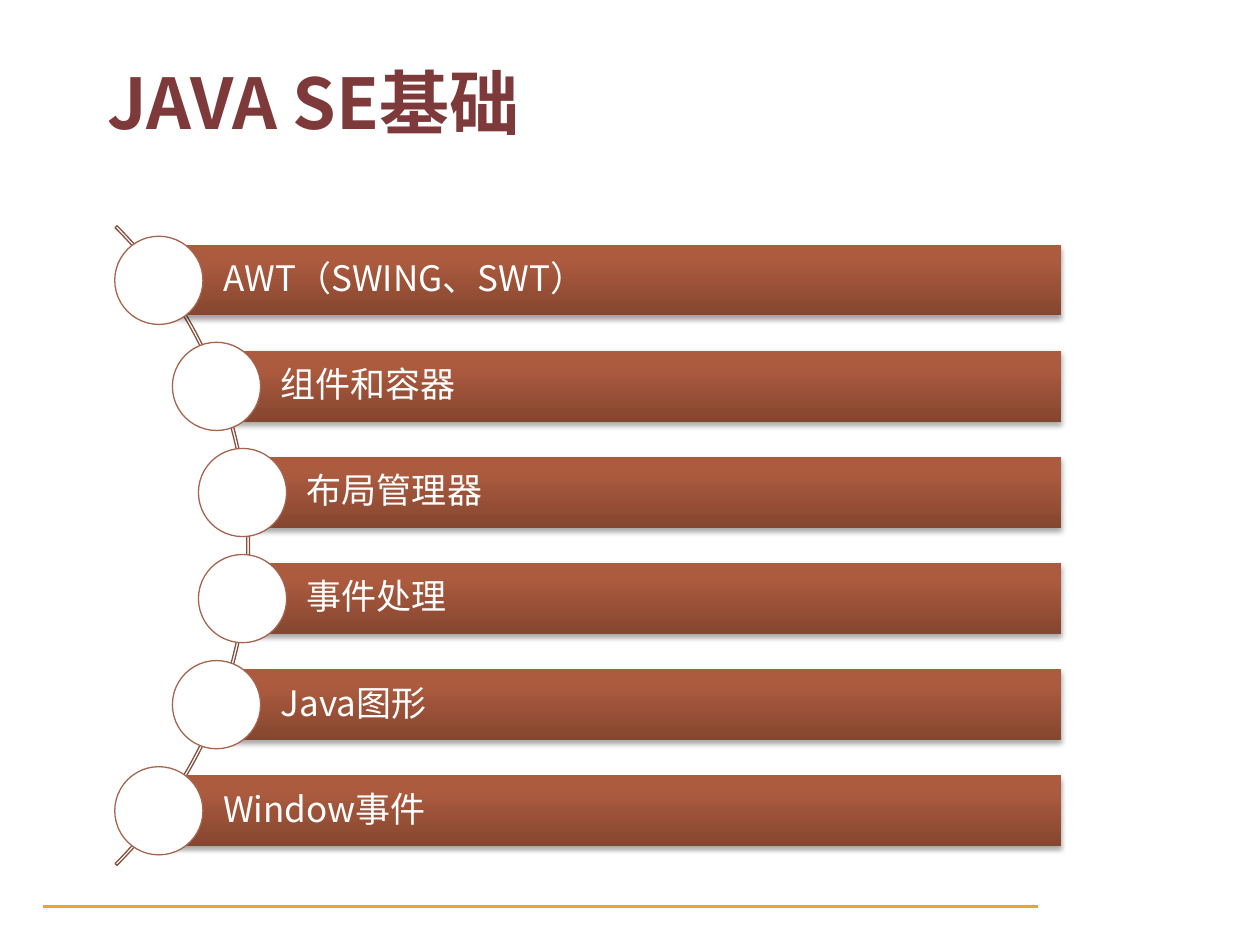
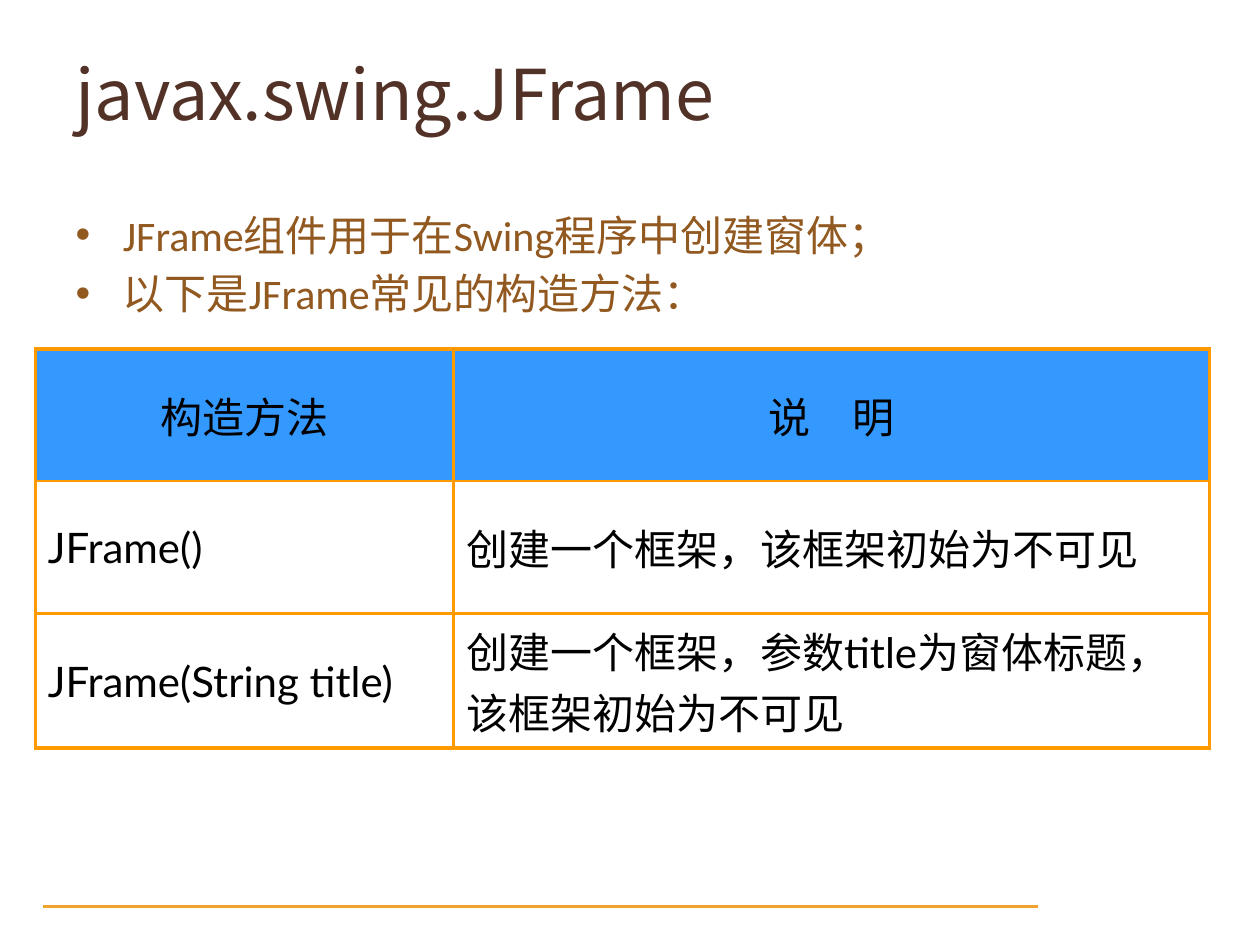
"""Build two slides on Java window programming: a topic list and a constructor table."""
import math
from lxml import etree
from pptx import Presentation
from pptx import util as u
from pptx.dml import color
from pptx.enum import shapes, text
from pptx.oxml import ns

CJK, BODY, TABLE = "Noto Sans CJK SC", "Calibri", "Lato"
COLUMNS, ROWS = 100, 75
WHITE, BLACK, GOLD, RUST = "FFFFFF", "000000", "F0A22E", "A5644E"
ARC_LINE, ORANGE, BLUE = "84503E", "FF9900", "3399FF"
BAR_STOPS = [(0, "854630"), (80, "AD5B3F"), (100, "AF5A3D")]

TOPICS = ["AWT（SWING、SWT）", "组件和容器", "布局管理器", "事件处理", "Java图形", "Window事件"]
BULLETS = ["JFrame组件用于在Swing程序中创建窗体；", "以下是JFrame常见的构造方法："]
CONSTRUCTORS = [
    ["构造方法", "说　明"],
    ["JFrame()", "创建一个框架，该框架初始为不可见"],
    ["JFrame(String title)", "创建一个框架，参数title为窗体标题，该框架初始为不可见"],
]


def rgb(value):
    return color.RGBColor.from_string(value)


def add_node(parent, tag, **attributes):
    return etree.SubElement(parent, ns.qn(tag), attributes)


def add_colour(parent, value, alpha=None):
    node = add_node(parent, "a:srgbClr", val=value)
    if alpha is not None:
        add_node(node, "a:alpha", val=str(alpha * 1000))


class SlideBuilder:
    def __init__(self):
        self.deck = Presentation()
        self.deck.slide_width, self.deck.slide_height = u.Inches(10), u.Inches(7.5)
        self.page = None

    def x(self, columns):
        return round(self.deck.slide_width * columns / COLUMNS)

    def y(self, rows):
        return round(self.deck.slide_height * rows / ROWS)

    def area(self, left, top, width, height):
        return self.x(left), self.y(top), self.x(width), self.y(height)

    def new_page(self, layout):
        self.page = self.deck.slides.add_slide(self.deck.slide_layouts[layout])
        self.shape(shapes.MSO_SHAPE.RECTANGLE, (3.3, 71.7, 79.2, 0.5), GOLD, WHITE, 2)

    def shape(self, kind, area, fill=None, line=None, weight=0.75):
        box = self.page.shapes.add_shape(kind, *self.area(*area))
        box.shadow.inherit = False
        if fill:
            box.fill.solid()
            box.fill.fore_color.rgb = rgb(fill)
        else:
            box.fill.background()
        if line:
            box.line.color.rgb = rgb(line)
            box.line.width = u.Pt(weight)
        else:
            box.line.fill.background()
        return box

    def add_text(self, para, content, font, size, ink, bold=False):
        span = para.add_run()
        span.text = content
        span.font.name, span.font.size, span.font.bold = font, u.Pt(size), bold
        span.font.color.rgb = rgb(ink)
        latin = span.font._element.find(ns.qn("a:latin"))
        latin.addnext(etree.Element(ns.qn("a:ea"), typeface=CJK))

    def placeholder(self, box, area, anchor):
        box.left, box.top, box.width, box.height = self.area(*area)
        frame = box.text_frame
        frame.word_wrap = True
        frame.auto_size = text.MSO_AUTO_SIZE.NONE
        frame.vertical_anchor = anchor
        return frame

    def title(self, content, area, ink, bold=False, anchor=text.MSO_ANCHOR.MIDDLE):
        para = self.placeholder(self.page.shapes.title, area, anchor).paragraphs[0]
        para.alignment = text.PP_ALIGN.LEFT
        self.add_text(para, content, CJK, 40, ink, bold)

    def bullets(self, items, area, ink):
        frame = self.placeholder(self.page.placeholders[1], area, text.MSO_ANCHOR.TOP)
        for index, item in enumerate(items):
            para = frame.add_paragraph() if index else frame.paragraphs[0]
            self.add_text(para, item, BODY, 24, ink)

    def bar(self, content, area):
        box = self.shape(shapes.MSO_SHAPE.RECTANGLE, area)
        box.fill.gradient()
        box.fill.gradient_angle = 90
        properties = box._element.spPr
        stops = properties.find(".//" + ns.qn("a:gsLst"))
        for stop in list(stops):
            stops.remove(stop)
        for share, value in BAR_STOPS:
            add_colour(add_node(stops, "a:gs", pos=str(share * 1000)), value)
        shadow = add_node(properties.find(ns.qn("a:effectLst")), "a:outerShdw",
                          blurRad=str(u.Pt(3.1)), dist=str(u.Pt(1.8)),
                          dir="5400000", rotWithShape="0")
        add_colour(shadow, BLACK, 35)
        frame = box.text_frame
        frame.word_wrap = True
        frame.vertical_anchor = text.MSO_ANCHOR.MIDDLE
        frame.margin_left = self.x(5.1)
        frame.margin_top = frame.margin_bottom = frame.margin_right = self.x(0.6)
        para = frame.paragraphs[0]
        para.alignment = text.PP_ALIGN.LEFT
        para.line_spacing = 0.9
        self.add_text(para, content, CJK, 20, WHITE)

    def border(self, cell, side, weight):
        line = add_node(cell._tc.get_or_add_tcPr(), "a:ln" + side, w=str(u.Pt(weight)))
        add_colour(add_node(line, "a:solidFill"), ORANGE)

    def table(self, rows, left, top, widths, height):
        area = self.area(left, top, sum(widths), height * len(rows))
        table = self.page.shapes.add_table(len(rows), len(widths), *area).table
        table.first_row = table.horz_banding = False
        for column, width in zip(table.columns, widths):
            column.width = self.x(width)
        last_row, last_column = len(rows) - 1, len(widths) - 1
        for r, row in enumerate(rows):
            for c, content in enumerate(row):
                cell = table.cell(r, c)
                outer = {"L": c == 0, "R": c == last_column, "T": r == 0, "B": r == last_row}
                for side, is_outer in outer.items():
                    self.border(cell, side, 2.25 if is_outer else 1.5)
                if r == 0:
                    cell.fill.solid()
                    cell.fill.fore_color.rgb = rgb(BLUE)
                else:
                    cell.fill.background()
                cell.vertical_anchor = text.MSO_ANCHOR.MIDDLE
                para = cell.text_frame.paragraphs[0]
                para.alignment = text.PP_ALIGN.LEFT if r else text.PP_ALIGN.CENTER
                para.space_before = u.Pt(4.8)
                self.add_text(para, content, TABLE, 24, BLACK)


def topics_page(builder):
    builder.new_page(5)
    builder.title("JAVA SE基础", (7.5, 4.2, 81.1, 7.5), "7E3A3A", True, text.MSO_ANCHOR.TOP)
    centre_x, centre_y, size, radius = -16.1, 43.3, 71.8, 35.6
    arc = builder.shape(shapes.MSO_SHAPE.BLOCK_ARC,
                        (centre_x - size / 2, centre_y - size / 2, size, size), line=ARC_LINE)
    for index, value in enumerate((189, 27, 0.003)):
        arc.adjustments[index] = value
    step, bar_height, dot, right = 8.42, 5.6, 7, 84.2
    for index, topic in enumerate(TOPICS):
        offset = (index - (len(TOPICS) - 1) / 2) * step
        x, y = centre_x + math.sqrt(radius ** 2 - offset ** 2), centre_y + offset
        builder.bar(topic, (x, y - bar_height / 2, right - x, bar_height))
        builder.shape(shapes.MSO_SHAPE.OVAL, (x - dot / 2, y - dot / 2, dot, dot), WHITE, RUST)


def frame_page(builder):
    builder.new_page(1)
    builder.title("javax.swing.JFrame", (5, 3, 68.3, 8.7), "523227")
    builder.bullets(BULLETS, (5, 16.1, 87.5, 41.7), "91581F")
    builder.table(CONSTRUCTORS, 2.8, 27.7, (33.2, 60), 10.5)


def main():
    builder = SlideBuilder()
    topics_page(builder)
    frame_page(builder)
    builder.deck.save("out.pptx")


if __name__ == "__main__":
    main()
